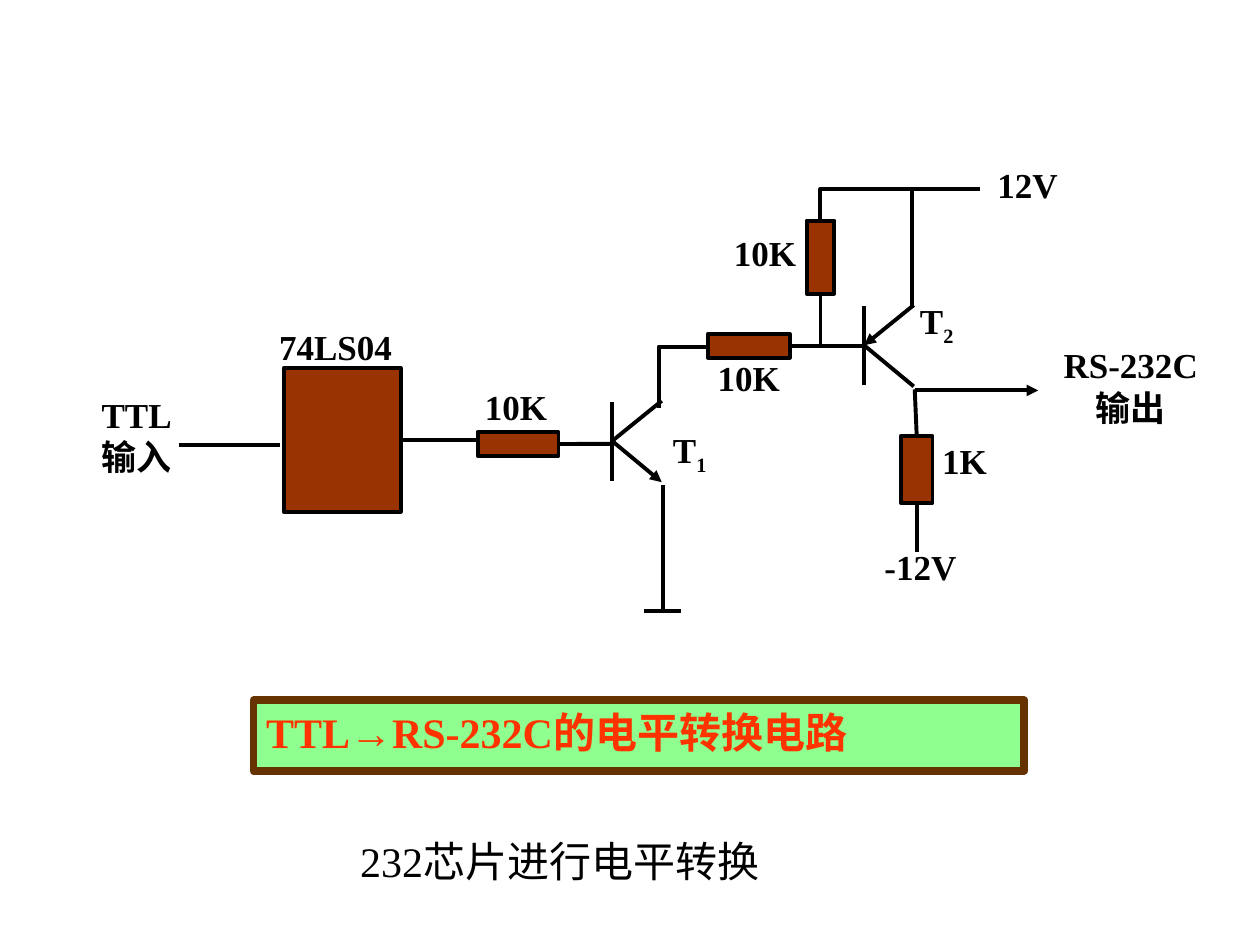
from dataclasses import dataclass

from lxml import etree
from pptx import Presentation
from pptx.dml.color import RGBColor
from pptx.enum.shapes import MSO_CONNECTOR, MSO_SHAPE
from pptx.enum.text import MSO_ANCHOR, MSO_AUTO_SIZE, PP_ALIGN
from pptx.oxml.ns import qn
from pptx.util import Cm, Pt

STRAIGHT = MSO_CONNECTOR.STRAIGHT
RECTANGLE = MSO_SHAPE.RECTANGLE
TOP = MSO_ANCHOR.TOP
FIXED = MSO_AUTO_SIZE.NONE
LEFT, CENTER = PP_ALIGN.LEFT, PP_ALIGN.CENTER
TOP_SIDE, BOTTOM_SIDE, RIGHT_SIDE = 0, 2, 3
TITLE_ONLY = 5


@dataclass(frozen=True)
class Theme:
    font: str = "Times New Roman"
    ink: RGBColor = RGBColor(0x00, 0x00, 0x00)
    component: RGBColor = RGBColor(0x99, 0x33, 0x00)
    banner: RGBColor = RGBColor(0x8F, 0xFF, 0x8F)
    banner_edge: RGBColor = RGBColor(0x66, 0x33, 0x00)
    banner_text: RGBColor = RGBColor(0xFF, 0x33, 0x00)
    label_size: Pt = Pt(20)
    heading_size: Pt = Pt(24)
    wire_width: Pt = Pt(2.25)
    banner_width: Pt = Pt(4.5)


THEME = Theme()


def set_outline(line, color, width):
    line.color.rgb = color
    line.width = width


def style_text(paragraph, size, color=THEME.ink, bold=True, align=CENTER):
    paragraph.alignment = align
    paragraph.font.name = THEME.font
    paragraph.font.size = size
    paragraph.font.bold = bold
    paragraph.font.color.rgb = color


def add_component(slide, left, top, width, height):
    component = slide.shapes.add_shape(RECTANGLE, Cm(left), Cm(top), Cm(width), Cm(height))
    component.shadow.inherit = False
    component.fill.solid()
    component.fill.fore_color.rgb = THEME.component
    set_outline(component.line, THEME.ink, THEME.wire_width)
    return component


def add_wire(slide, start, end, arrow=False, begin_at=None, end_at=None):
    wire = slide.shapes.add_connector(STRAIGHT, *(Cm(value) for value in (*start, *end)))
    set_outline(wire.line, THEME.ink, THEME.wire_width)
    if begin_at:
        wire.begin_connect(*begin_at)
    if end_at:
        wire.end_connect(*end_at)
    properties = wire._element.spPr
    if arrow:
        etree.SubElement(properties.find(qn("a:ln")), qn("a:tailEnd"), type="triangle")
    etree.SubElement(properties, qn("a:effectLst"))


def add_elbow(slide, start, *corners):
    builder = slide.shapes.build_freeform(Cm(start[0]), Cm(start[1]))
    builder.add_line_segments([(Cm(x), Cm(y)) for x, y in corners], close=False)
    elbow = builder.convert_to_shape()
    elbow.shadow.inherit = False
    elbow.fill.background()
    set_outline(elbow.line, THEME.ink, THEME.wire_width)


def add_transistor(slide, x, y, pnp=False):
    base, upper, lower = (x, y), (x + 1, y - 0.81), (x + 1, y + 0.83)
    add_wire(slide, (x, y - 0.79), (x, y + 0.81))
    if pnp:
        add_wire(slide, upper, base, arrow=True)
        add_wire(slide, base, lower)
    else:
        add_wire(slide, base, upper)
        add_wire(slide, base, lower, arrow=True)


def add_label(slide, text, left, top, width=2.97, height=1.09, subscript=""):
    frame = slide.shapes.add_textbox(Cm(left), Cm(top), Cm(width), Cm(height)).text_frame
    frame.word_wrap = True
    label = frame.paragraphs[0]
    label.text = text
    style_text(label, THEME.label_size)
    if subscript:
        index = label.add_run()
        index.text = subscript
        index._r.get_or_add_rPr().set("baseline", "-25000")


def add_banner(slide, text):
    banner = slide.shapes.title
    banner.left, banner.top, banner.width, banner.height = Cm(5.11), Cm(14.12), Cm(15.54), Cm(1.42)
    banner.fill.solid()
    banner.fill.fore_color.rgb = THEME.banner
    set_outline(banner.line, THEME.banner_edge, THEME.banner_width)
    frame = banner.text_frame
    frame.text = text
    frame.word_wrap = True
    frame.auto_size = FIXED
    frame.vertical_anchor = TOP
    style_text(frame.paragraphs[0], THEME.heading_size, THEME.banner_text, align=LEFT)


def add_caption(slide, text):
    frame = slide.shapes.add_textbox(Cm(7.01), Cm(16.71), Cm(10.36), Cm(1.27)).text_frame
    frame.word_wrap = True
    frame.text = text
    style_text(frame.paragraphs[0], THEME.heading_size, bold=False, align=LEFT)


def add_circuit(slide):
    inverter = add_component(slide, 5.72, 7.42, 2.36, 2.9)
    base_resistor = add_component(slide, 9.63, 8.71, 1.63, 0.48)
    coupling_resistor = add_component(slide, 14.27, 6.73, 1.65, 0.48)
    pull_up = add_component(slide, 16.26, 4.45, 0.56, 1.47)
    load_resistor = add_component(slide, 18.16, 8.79, 0.64, 1.35)

    add_transistor(slide, 12.34, 8.89)
    add_transistor(slide, 17.42, 6.96, pnp=True)

    add_wire(slide, (3.61, 8.97), (5.64, 8.97))
    add_wire(slide, (8.08, 8.87), (9.63, 8.87), begin_at=(inverter, RIGHT_SIDE))
    add_wire(slide, (11.26, 8.95), (12.34, 8.95), begin_at=(base_resistor, RIGHT_SIDE))
    add_wire(slide, (15.92, 6.97), (17.42, 6.97), begin_at=(coupling_resistor, RIGHT_SIDE))
    add_wire(slide, (16.54, 5.92), (16.54, 6.97), begin_at=(pull_up, BOTTOM_SIDE))
    add_wire(slide, (18.44, 7.85), (18.48, 8.79), end_at=(load_resistor, TOP_SIDE))
    add_wire(slide, (18.48, 10.14), (18.48, 11.13), begin_at=(load_resistor, BOTTOM_SIDE))
    add_wire(slide, (13.36, 9.78), (13.36, 12.32))
    add_wire(slide, (12.98, 12.32), (13.72, 12.32))
    add_wire(slide, (18.39, 6.2), (18.39, 3.85))
    add_wire(slide, (18.44, 7.87), (20.93, 7.87), arrow=True)
    add_elbow(slide, (13.28, 8.23), (13.28, 6.99), (14.27, 6.99))
    add_elbow(slide, (16.54, 4.45), (16.54, 3.81), (19.76, 3.81))


def add_circuit_labels(slide):
    labels = [
        ("74LS04", 5.28, 6.43),
        ("10K", 8.92, 7.65),
        ("10K", 13.61, 7.06),
        ("10K", 13.94, 4.55),
        ("1K", 17.96, 8.74),
        ("-12V", 17.07, 10.87),
        ("12V", 19.23, 3.18),
    ]
    for text, left, top in labels:
        add_label(slide, text, left, top)
    add_label(slide, "T", 12.42, 8.51, subscript="1")
    add_label(slide, "T", 17.4, 5.92, subscript="2")
    add_label(slide, "TTL\v输入", 1.47, 7.8, 2.57, 1.96)
    add_label(slide, "RS-232C输出", 21.03, 6.81, 3.53, 1.96)


def main():
    presentation = Presentation()
    presentation.slide_width, presentation.slide_height = Cm(25.4), Cm(19.05)
    slide = presentation.slides.add_slide(presentation.slide_layouts[TITLE_ONLY])
    add_circuit(slide)
    add_circuit_labels(slide)
    add_banner(slide, "TTL→RS-232C的电平转换电路")
    add_caption(slide, "232芯片进行电平转换")
    presentation.save("out.pptx")


if __name__ == "__main__":
    main()
